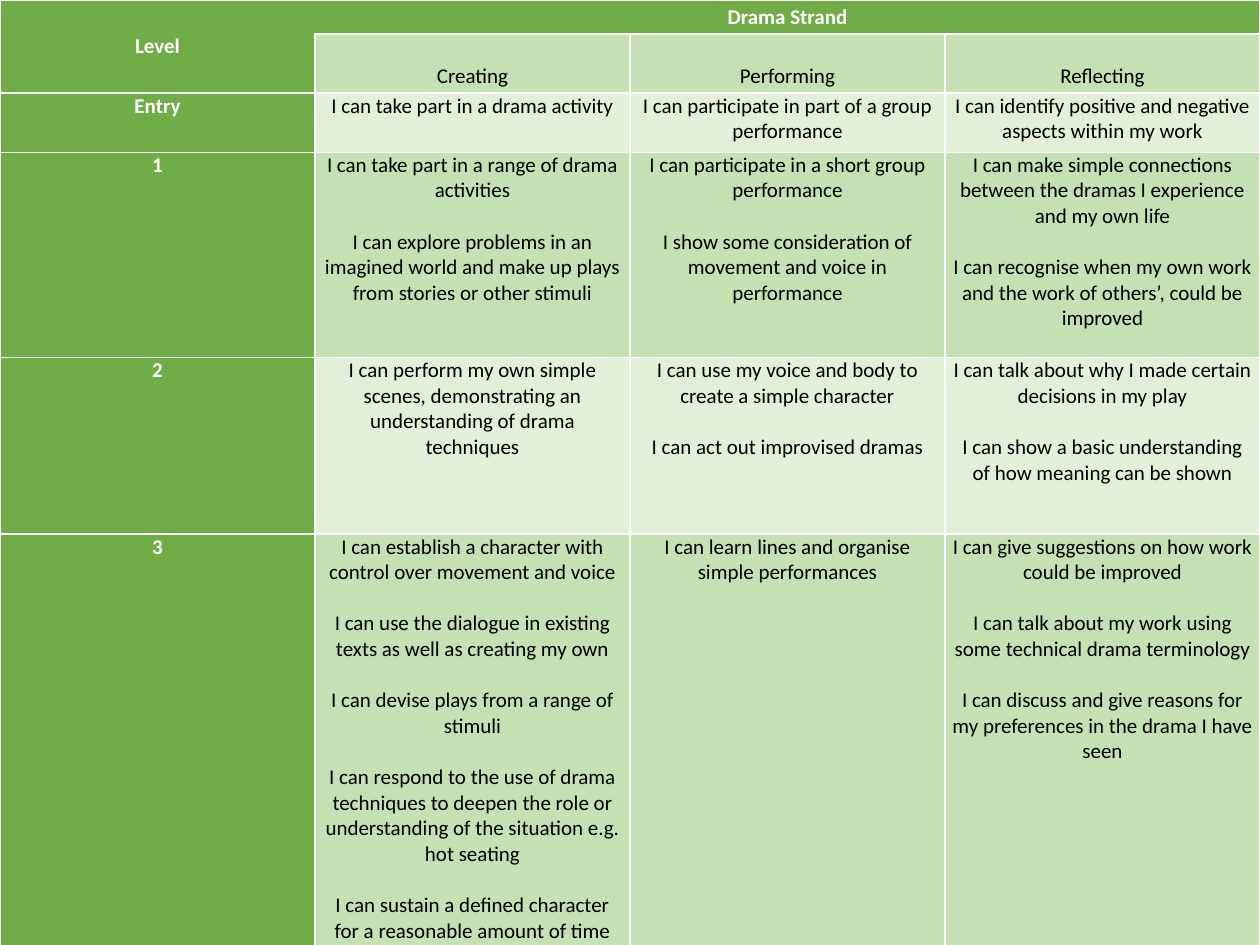
import pptx
import pptx.dml.color
import pptx.enum.text
import pptx.oxml
import pptx.oxml.ns
import pptx.util

RGBColor = pptx.dml.color.RGBColor
GREEN = RGBColor(0x70, 0xAD, 0x47)
MID_GREEN = RGBColor(0xC5, 0xE0, 0xB3)
PALE_GREEN = RGBColor(0xE2, 0xEF, 0xD9)
WHITE = RGBColor(0xFF, 0xFF, 0xFF)
BLACK = RGBColor(0, 0, 0)

PAGE_WIDTH = pptx.util.Inches(10)
PAGE_HEIGHT = pptx.util.Inches(7.5)
ROW_HEIGHTS = [0.27, 0.47, 0.47, 1.63, 1.4, 3.5]
LINE_HEIGHT = pptx.util.Pt(14.65)
PLAIN_TABLE_STYLE = "{2D5ABB26-0587-4C30-8999-92F81FD0307C}"
MIDDLE = pptx.enum.text.MSO_ANCHOR.MIDDLE
BOTTOM = pptx.enum.text.MSO_ANCHOR.BOTTOM
TOP = pptx.enum.text.MSO_ANCHOR.TOP

STRANDS = ["Creating", "Performing", "Reflecting"]
LEVELS = [
    ("Entry", [
        ["I can take part in a drama activity"],
        ["I can participate in part of a group performance"],
        ["I can identify positive and negative aspects within my work"],
    ]),
    ("1", [
        ["I can take part in a range of drama activities",
         "I can explore problems in an imagined world and make up plays "
         "from stories or other stimuli"],
        ["I can participate in a short group performance",
         "I show some consideration of movement and voice in performance"],
        ["I can make simple connections between the dramas I experience "
         "and my own life",
         "I can recognise when my own work and the work of others’, "
         "could be improved"],
    ]),
    ("2", [
        ["I can perform my own simple scenes, demonstrating an "
         "understanding of drama techniques"],
        ["I can use my voice and body to create a simple character",
         "I can act out improvised dramas"],
        ["I can talk about why I made certain decisions in my play",
         "I can show a basic understanding of how meaning can be shown"],
    ]),
    ("3", [
        ["I can establish a character with control over movement and voice",
         "I can use the dialogue in existing texts as well as creating my own",
         "I can devise plays from a range of stimuli",
         "I can respond to the use of drama techniques to deepen the role or "
         "understanding of the situation e.g. hot seating",
         "I can sustain a defined character for a reasonable amount of time"],
        ["I can learn lines and organise simple performances"],
        ["I can give suggestions on how work could be improved",
         "I can talk about my work using some technical drama terminology",
         "I can discuss and give reasons for my preferences in the drama "
         "I have seen"],
    ]),
]


def add_borders(cell, sides):
    properties = cell._tc.get_or_add_tcPr()
    for side in sides:
        properties.append(pptx.oxml.parse_xml(
            f'<a:ln{side} {pptx.oxml.ns.nsdecls("a")} w="12700"><a:solidFill>'
            f'<a:srgbClr val="{WHITE}"/></a:solidFill></a:ln{side}>'))


def fill_cell(cell, statements, fill, heading=False, anchor=TOP, sides="LRTB"):
    add_borders(cell, sides)
    cell.fill.solid()
    cell.fill.fore_color.rgb = fill
    cell.vertical_anchor = anchor
    cell.margin_left = cell.margin_right = pptx.util.Inches(0.05)
    cell.margin_top = 0
    cell.margin_bottom = pptx.util.Inches(0.03) if anchor == BOTTOM else 0
    frame = cell.text_frame
    for index, statement in enumerate(statements):
        para = frame.add_paragraph() if index else frame.paragraphs[0]
        para.alignment = pptx.enum.text.PP_ALIGN.CENTER
        if index:
            para.space_before = LINE_HEIGHT
        span = para.add_run()
        span.text = statement
        span.font.name = "Calibri"
        span.font.size = pptx.util.Pt(12)
        span.font.bold = heading
        span.font.color.rgb = WHITE if heading else BLACK


def add_grid(page):
    columns = len(STRANDS) + 1
    height = pptx.util.Inches(sum(ROW_HEIGHTS))
    frame = page.shapes.add_table(
        len(ROW_HEIGHTS), columns, 0, 0, PAGE_WIDTH, height)
    table = frame.table
    table.first_row = table.horz_banding = False
    style = table._tbl.tblPr.find(pptx.oxml.ns.qn("a:tableStyleId"))
    style.text = PLAIN_TABLE_STYLE
    for row, row_height in zip(table.rows, ROW_HEIGHTS):
        row.height = pptx.util.Inches(row_height)
    return table


def fill_headings(table):
    table.cell(0, 0).merge(table.cell(1, 0))
    table.cell(0, 1).merge(table.cell(0, len(STRANDS)))
    fill_cell(table.cell(0, 0), ["Level"], GREEN, True, MIDDLE, "LTB")
    fill_cell(table.cell(0, 1), ["Drama Strand"], GREEN, True, MIDDLE, "RTB")
    for column, strand in enumerate(STRANDS, 1):
        fill_cell(table.cell(1, column), [strand], MID_GREEN, anchor=BOTTOM)


def fill_levels(table):
    for row, (level, strands) in enumerate(LEVELS, 2):
        fill_cell(table.cell(row, 0), [level], GREEN, heading=True)
        band = MID_GREEN if row % 2 else PALE_GREEN
        for column, statements in enumerate(strands, 1):
            fill_cell(table.cell(row, column), statements, band)


def main():
    deck = pptx.Presentation()
    deck.slide_width = PAGE_WIDTH
    deck.slide_height = PAGE_HEIGHT
    page = deck.slides.add_slide(deck.slide_layouts[6])
    table = add_grid(page)
    fill_headings(table)
    fill_levels(table)
    deck.save("out.pptx")


if __name__ == "__main__":
    main()
